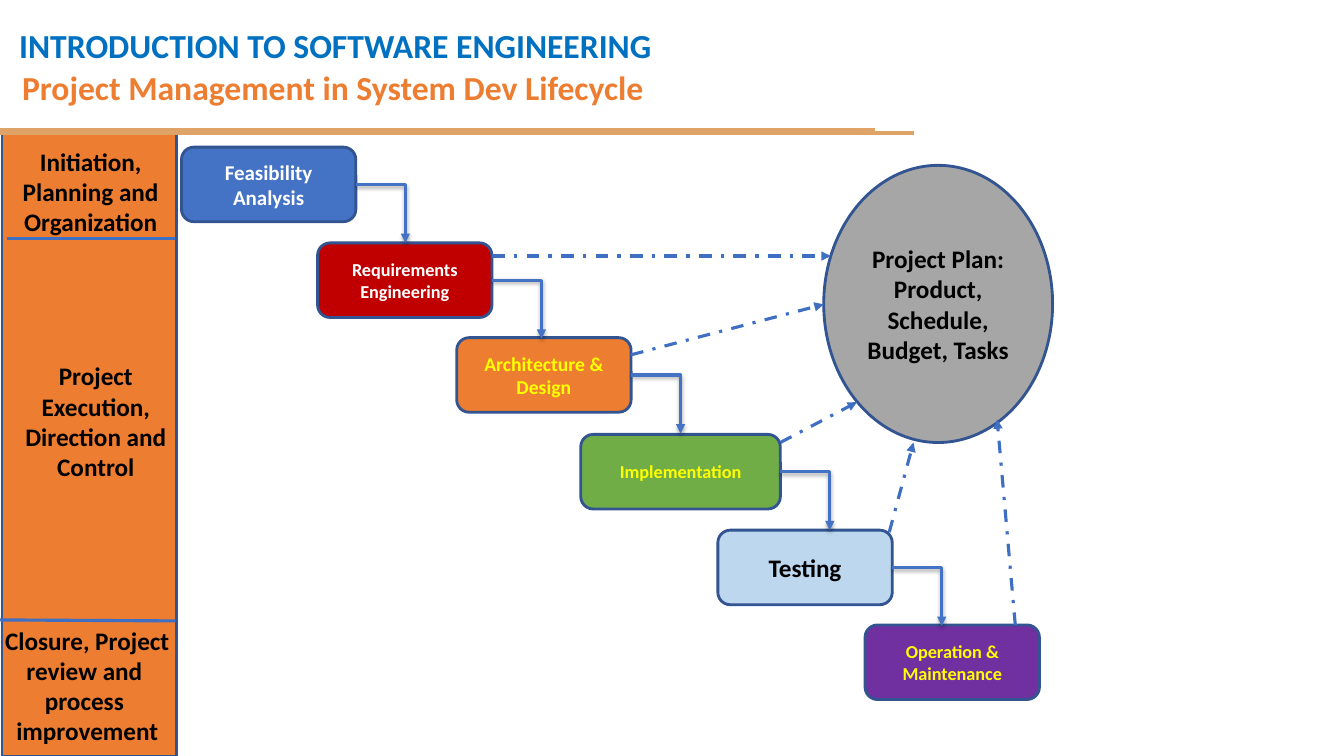
from lxml.etree import SubElement
from pptx import Presentation
from pptx.dml.color import RGBColor
from pptx.enum.dml import MSO_LINE
from pptx.enum.shapes import MSO_CONNECTOR as Link, MSO_SHAPE as Shape
from pptx.enum.text import MSO_ANCHOR as Anchor, MSO_AUTO_SIZE as Fit, PP_ALIGN as Align
from pptx.oxml.ns import qn
from pptx.util import Pt

PX = 9144
FONT = "Calibri"
WHITE = RGBColor(0xFF, 0xFF, 0xFF)
BLACK = RGBColor(0x00, 0x00, 0x00)
YELLOW = RGBColor(0xFF, 0xFF, 0x00)
TITLE_BLUE = RGBColor(0x00, 0x70, 0xC0)
ORANGE = RGBColor(0xED, 0x7D, 0x31)
TAN = RGBColor(0xDF, 0xA2, 0x67)
OUTLINE = RGBColor(0x32, 0x54, 0x91)
BLUE = RGBColor(0x44, 0x72, 0xC4)
LINE_BLUE = RGBColor(0x3F, 0x6F, 0xC3)
RED = RGBColor(0xC0, 0x00, 0x00)
GREEN = RGBColor(0x70, 0xAD, 0x47)
PALE_BLUE = RGBColor(0xBD, 0xD7, 0xEE)
PURPLE = RGBColor(0x70, 0x30, 0xA0)
GREY = RGBColor(0xA6, 0xA6, 0xA6)

STAGES = [
    ("Feasibility Analysis", (180, 146, 173, 74), BLUE, WHITE, 15),
    ("Requirements Engineering", (315, 241, 173, 74), RED, WHITE, 13),
    ("Architecture & Design", (453, 335, 173, 74), ORANGE, YELLOW, 14),
    ("Implementation", (576, 431, 198, 74), GREEN, YELLOW, 13),
    ("Testing", (712, 526, 173, 74), PALE_BLUE, BLACK, 18),
    ("Operation & Maintenance", (858, 620, 173, 74), PURPLE, YELLOW, 13),
]
PLAN_ARROWS = [
    (488, 254, 824, 254),
    (626, 352, 817, 302),
    (774, 439, 850, 399),
    (882, 528, 906, 439),
    (1007, 620, 989, 416),
]
PHASES = [
    ("Initiation, Planning and Organization", (5, 140, 170, 100)),
    ("Project Execution, Direction and Control", (4, 353, 182, 160)),
    ("Closure, Project review and \vprocess \vimprovement", (-21, 615, 215, 135)),
]


def scaled(lengths):
    return [length * PX for length in lengths]


def write(shape, text, size, color, align=Align.CENTER, anchor=Anchor.MIDDLE):
    frame = shape.text_frame
    frame.word_wrap = True
    frame.auto_size = Fit.NONE
    frame.vertical_anchor = anchor
    frame.text = text
    para = frame.paragraphs[0]
    para.alignment = align
    para.font.name = FONT
    para.font.size = Pt(size)
    para.font.bold = True
    para.font.color.rgb = color
    return para


def add_text(page, box, text, size, color, align=Align.CENTER):
    write(page.shapes.add_textbox(*scaled(box)), text, size, color, align, Anchor.TOP)


def add_block(page, kind, box, fill):
    shape = page.shapes.add_shape(kind, *scaled(box))
    shape.shadow.inherit = False
    shape.fill.solid()
    shape.fill.fore_color.rgb = fill
    shape.line.color.rgb = OUTLINE
    shape.line.width = Pt(2)
    return shape


def add_line(page, ends, color, width=2.25, kind=Link.STRAIGHT, arrow=False):
    line = page.shapes.add_connector(kind, *scaled(ends))
    line.line.color.rgb = color
    line.line.width = Pt(width)
    properties = line._element.spPr
    if arrow:
        SubElement(properties.find(qn("a:ln")), qn("a:tailEnd"), type="triangle")
    SubElement(properties, qn("a:effectLst"))
    return line


def add_step(page, box):
    left, top, width, height = box
    x, y = left + width, top + height // 2
    step = add_line(page, (x, y, x + 49, y + 58), BLUE, kind=Link.ELBOW, arrow=True)
    properties = step._element.spPr
    properties.find(qn("a:prstGeom")).set("prst", "bentConnector2")
    shadow = SubElement(properties.find(qn("a:effectLst")), qn("a:outerShdw"),
                        blurRad="39370", dist="22860", dir="5400000", rotWithShape="0")
    tint = SubElement(shadow, qn("a:srgbClr"), val="000000")
    SubElement(tint, qn("a:alpha"), val="35000")


def add_header(page, box):
    left, top, width, height = box
    title = page.shapes.title
    title.left, title.top, title.width, title.height = scaled((left + 9, top, width, 70))
    para = write(title, "INTRODUCTION TO SOFTWARE ENGINEERING", 24, TITLE_BLUE,
                 Align.LEFT, Anchor.TOP)
    para.line_spacing = 1.5
    add_text(page, (left + 12, top + 61, width, 50),
             "Project Management in System Dev Lifecycle", 24, ORANGE, Align.LEFT)
    bottom = top + height
    add_line(page, (left, bottom - 3, left + 868, bottom - 3), TAN, 3)
    add_line(page, (left - 1, bottom, left + 907, bottom), TAN, 3)


def add_phases(page, box):
    left, top, width, height = box
    add_block(page, Shape.RECTANGLE, box, ORANGE)
    right = left + width - 1
    add_line(page, (left + 5, top + 105, right, top + 105), LINE_BLUE)
    add_line(page, (left - 3, top + 483, right, top + 484), LINE_BLUE)
    for text, place in PHASES:
        add_text(page, place, text, 18, BLACK)


def add_lifecycle(page):
    for text, box, fill, color, size in STAGES:
        write(add_block(page, Shape.ROUNDED_RECTANGLE, box, fill), text, size, color)
    for stage in STAGES[:-1]:
        add_step(page, stage[1])


def add_plan(page, box):
    plan = add_block(page, Shape.OVAL, box, GREY)
    write(plan, "Project Plan: Product, Schedule, Budget, Tasks", 18, BLACK)
    for ends in PLAN_ARROWS:
        arrow = add_line(page, ends, LINE_BLUE, arrow=True)
        arrow.line.dash_style = MSO_LINE.DASH_DOT


def main():
    deck = Presentation()
    deck.slide_width, deck.slide_height = scaled((1333, 750))
    page = deck.slides.add_slide(deck.slide_layouts[5])
    add_phases(page, (2, 132, 173, 618))
    add_header(page, (0, 0, 991, 132))
    add_lifecycle(page)
    add_plan(page, (817, 164, 227, 275))
    deck.save("out.pptx")


if __name__ == "__main__":
    main()
